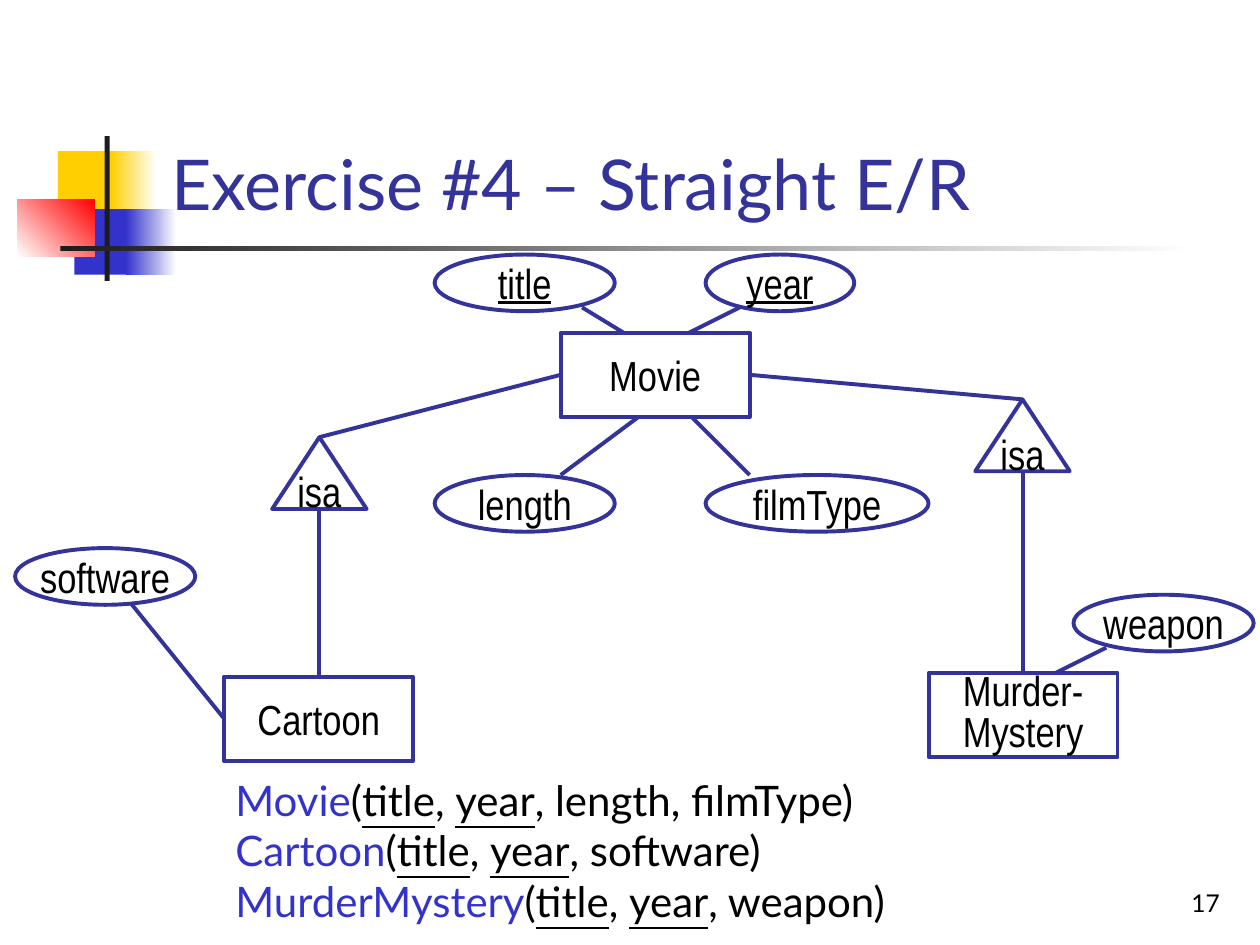
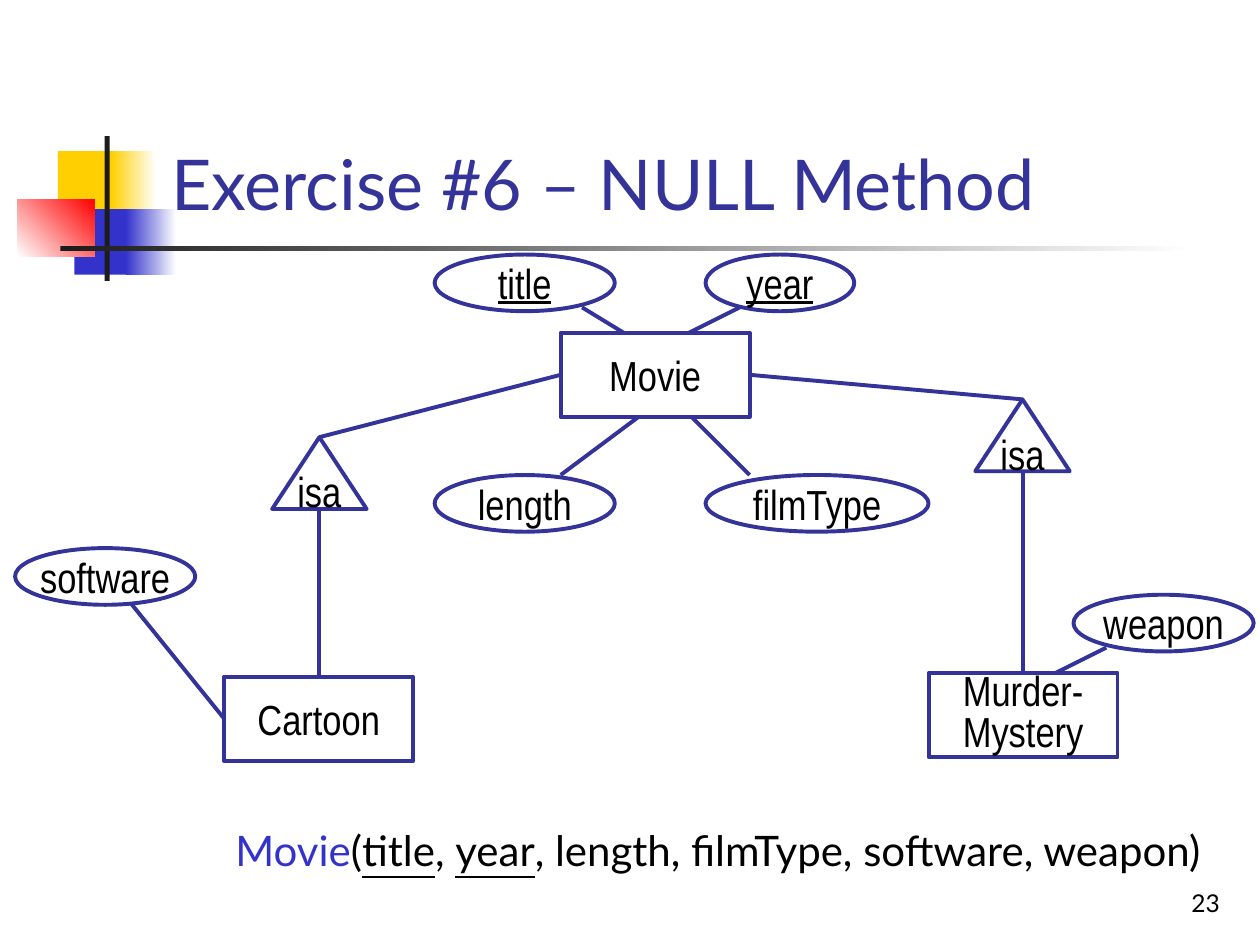
"""Two entity-relationship exercise slides sharing one movie diagram."""
from lxml.etree import SubElement
from pptx import Presentation
from pptx.dml.color import RGBColor
from pptx.enum.shapes import MSO_CONNECTOR as CONNECTOR, MSO_SHAPE as SHAPE
from pptx.enum.text import MSO_ANCHOR as ANCHOR, PP_ALIGN as ALIGN
from pptx.oxml.ns import qn
from pptx.util import Inches, Pt

GOLD = RGBColor(0xFF, 0xCF, 0x01)
BLUE = RGBColor(0x33, 0x33, 0xCC)
RED = RGBColor(0xFF, 0x00, 0x00)
INK = RGBColor(0x1C, 0x1C, 0x1C)
NAVY = RGBColor(0x33, 0x33, 0x99)
BLACK = RGBColor(0x00, 0x00, 0x00)
WHITE = RGBColor(0xFF, 0xFF, 0xFF)
TEXT_FONT, DIAGRAM_FONT = "Lato", "Arial Narrow"
TOP, LEFT, BOTTOM, RIGHT = range(4)

KEYS = ("title", "year")
SLIDES = [
    {"title": "Exercise #4 – Straight E/R", "number": "17",
     "relations": [("Movie", "length, filmType"), ("Cartoon", "software"),
                   ("MurderMystery", "weapon")]},
    {"title": "Exercise #6 – NULL Method", "number": "23",
     "relations": [("Movie", "length, filmType, software, weapon")]},
]

ATTRIBUTE = (SHAPE.OVAL, 1.43, 0.45)
ENTITY = (SHAPE.RECTANGLE, 1.5, 0.67)
ISA = (SHAPE.ISOSCELES_TRIANGLE, 0.75, 0.57)
LEFT_COLUMN, RIGHT_COLUMN = 3.45, 5.6
UPPER_ROW, LOWER_ROW = 2.02, 3.77
NODES = {
    "length": ("length", ATTRIBUTE, LEFT_COLUMN, LOWER_ROW),
    "filmType": ("filmType", (SHAPE.OVAL, 1.77, 0.45), RIGHT_COLUMN, LOWER_ROW),
    "title": ("title", ATTRIBUTE, LEFT_COLUMN, UPPER_ROW),
    "year": ("year", (SHAPE.OVAL, 1.18, 0.45), RIGHT_COLUMN, UPPER_ROW),
    "movie": ("Movie", ENTITY, 4.45, 2.64),
    "weapon": ("weapon", ATTRIBUTE, 8.52, 4.72),
    "mystery": ("Murder-\nMystery", ENTITY, 7.37, 5.34),
    "mystery isa": ("isa", ISA, 7.74, 3.17),
    "cartoon isa": ("isa", ISA, 2.16, 3.47),
    "cartoon": ("Cartoon", ENTITY, 1.78, 5.37),
    "software": ("software", ATTRIBUTE, 0.12, 4.35),
}
ATTRIBUTE_LINES = [
    ((4.45, 3.77), (5.12, 3.27)),
    ((5.95, 3.77), (5.45, 3.27)),
    ((4.62, 2.44), (5.03, 2.69)),
    ((5.87, 2.44), (5.37, 2.69)),
    ((8.78, 5.14), (8.28, 5.39)),
]
JOINED_LINES = [
    (("movie", RIGHT), ("mystery isa", TOP)),
    ((8.12, 3.75), ("mystery", TOP)),
    (("movie", LEFT), ("cartoon isa", TOP)),
    ((2.53, 4.05), ("cartoon", TOP)),
    ((1.04, 4.79), ("cartoon", LEFT)),
]
DECORATION = [
    ((0.46, 1.2, 0.48, 0.52), (GOLD,), 0),
    ((0.88, 1.2, 0.36, 0.52), (GOLD, WHITE), 0),
    ((0.59, 1.66, 0.46, 0.52), (BLUE,), 0),
    ((1, 1.66, 0.4, 0.52), (BLUE, WHITE), 0),
    ((0.14, 1.58, 0.61, 0.46), (WHITE, RED), 45),
    ((0.83, 1.08, 0.04, 1.15), (INK,), 0),
    ((0.48, 1.95, 9, 0.04), (INK, WHITE), 0),
]


def inches(*lengths):
    return [Inches(length) for length in lengths]


def format_font(font, size, name, color, underline=None):
    font.size, font.name, font.underline = Pt(size), name, underline
    font.color.rgb = color


def decorate_layout(layout, slide):
    for number, (place, colors, angle) in enumerate(DECORATION):
        shape = slide.shapes.add_shape(SHAPE.RECTANGLE, *inches(*place))
        shape.shadow.inherit = False
        shape.line.fill.background()
        if len(colors) == 1:
            shape.fill.solid()
            shape.fill.fore_color.rgb = colors[0]
        else:
            shape.fill.gradient()
            shape.fill.gradient_angle = angle
            for stop, color, position in zip(shape.fill.gradient_stops, colors, (0, 1)):
                stop.color.rgb, stop.position = color, position
        shape.element.nvSpPr.cNvPr.id = 100 + number
        layout.element.cSld.spTree.append(shape.element)


def add_title(slide, text):
    title = slide.shapes.title
    title.left, title.top, title.width, title.height = inches(1.26, 0.23, 8.52, 1.6)
    title.text_frame.text = text
    title.text_frame.vertical_anchor = ANCHOR.BOTTOM
    paragraph = title.text_frame.paragraphs[0]
    paragraph.alignment = ALIGN.LEFT
    format_font(paragraph.runs[0].font, 40, TEXT_FONT, NAVY)


def add_number(slide, text):
    frame = slide.shapes.add_textbox(*inches(7.7, 6.83, 2.08, 0.5)).text_frame
    frame.word_wrap = True
    frame.vertical_anchor = ANCHOR.BOTTOM
    frame.text = text
    frame.paragraphs[0].alignment = ALIGN.RIGHT
    format_font(frame.paragraphs[0].runs[0].font, 14, TEXT_FONT, BLACK)


def add_schema(slide, relations):
    frame = slide.shapes.add_textbox(*inches(1.77, 5.88, 7.9, 1.73)).text_frame
    frame.word_wrap = True
    frame.vertical_anchor = ANCHOR.MIDDLE
    for number, (relation, attributes) in enumerate(relations):
        paragraph = frame.add_paragraph() if number else frame.paragraphs[0]
        for text in (relation, "(", KEYS[0], ", ", KEYS[1], f", {attributes})"):
            run = paragraph.add_run()
            run.text = text
            color = BLUE if text == relation else BLACK
            format_font(run.font, 24, TEXT_FONT, color, text in KEYS)


def add_node(slide, text, kind, left, top):
    preset, width, height = kind
    shape = slide.shapes.add_shape(preset, *inches(left, top, width, height))
    shape.shadow.inherit = False
    if kind == ISA:
        shape.fill.background()
    else:
        shape.fill.solid()
        shape.fill.fore_color.rgb = WHITE
    shape.line.color.rgb, shape.line.width = NAVY, Pt(2.25)
    frame = shape.text_frame
    frame.word_wrap = False
    frame.vertical_anchor = ANCHOR.MIDDLE
    frame.text = text
    for paragraph in frame.paragraphs:
        paragraph.alignment = ALIGN.CENTER
        if len(frame.paragraphs) > 1:
            paragraph.line_spacing = 0.8
        format_font(paragraph.runs[0].font, 24, DIAGRAM_FONT, BLACK, text in KEYS or None)
    return shape


def add_line(slide, start, end, nodes):
    points = [(0, 0) if point[0] in nodes else point for point in (start, end)]
    line = slide.shapes.add_connector(CONNECTOR.STRAIGHT, *inches(*points[0], *points[1]))
    for point, connect in ((start, line.begin_connect), (end, line.end_connect)):
        if point[0] in nodes:
            connect(nodes[point[0]], point[1])
    line.line.color.rgb, line.line.width = NAVY, Pt(2.25)
    SubElement(line.element.spPr, qn("a:effectLst"))


def add_diagram(slide):
    for start, end in ATTRIBUTE_LINES:
        add_line(slide, start, end, {})
    nodes = {name: add_node(slide, *node) for name, node in NODES.items()}
    for start, end in JOINED_LINES:
        add_line(slide, start, end, nodes)


def main():
    presentation = Presentation()
    presentation.slide_width, presentation.slide_height = inches(10, 7.5)
    layout = presentation.slide_layouts[5]
    for number, content in enumerate(SLIDES):
        slide = presentation.slides.add_slide(layout)
        if number == 0:
            decorate_layout(layout, slide)
        add_number(slide, content["number"])
        add_title(slide, content["title"])
        add_schema(slide, content["relations"])
        add_diagram(slide)
    presentation.save("out.pptx")


if __name__ == "__main__":
    main()
